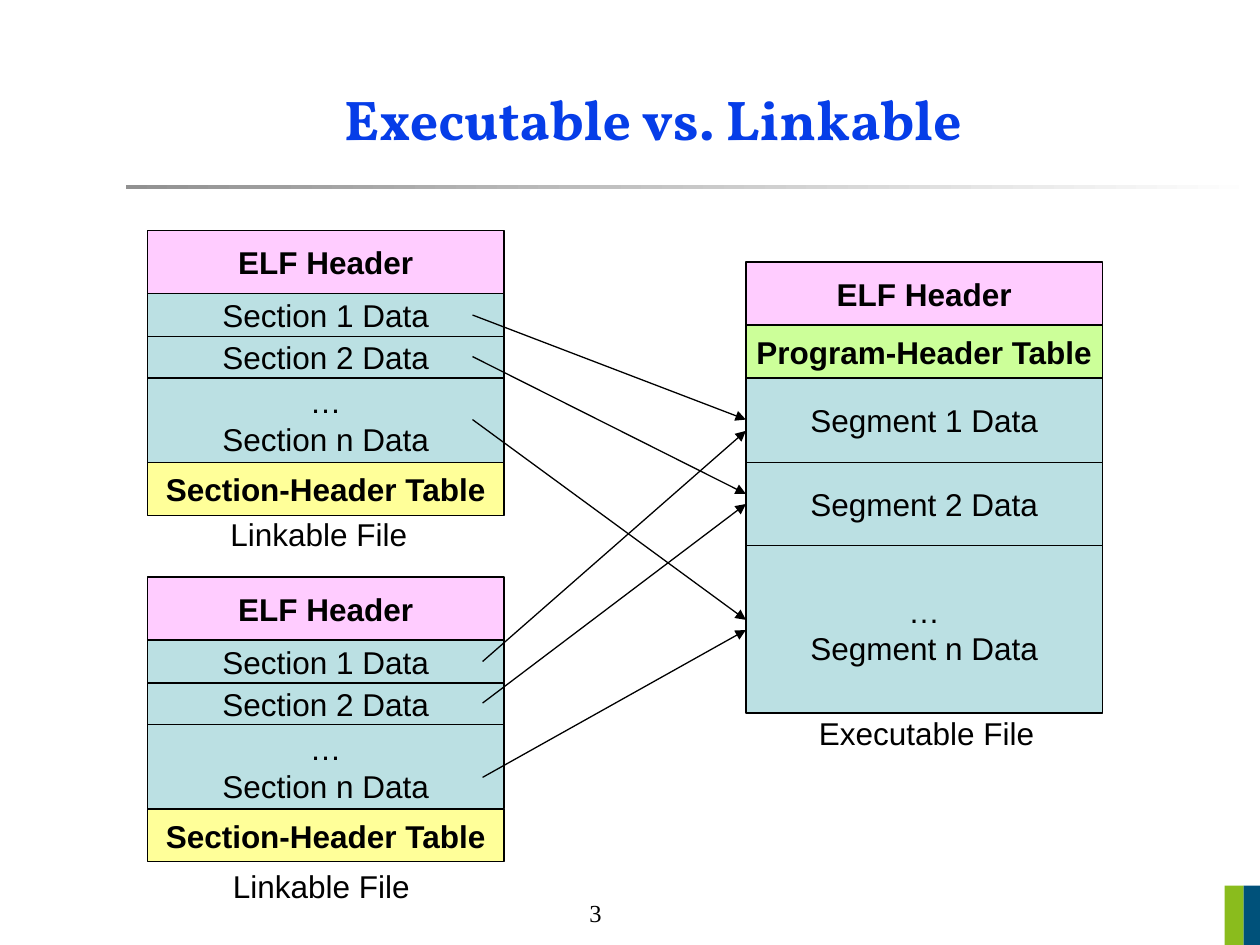
from lxml.etree import SubElement
from pptx import Presentation
from pptx.dml.color import RGBColor
from pptx.enum.shapes import MSO_CONNECTOR, MSO_SHAPE
from pptx.enum.text import MSO_ANCHOR, MSO_AUTO_SIZE, PP_ALIGN
from pptx.oxml.ns import qn
from pptx.util import Inches, Pt


def rgb(color):
    return RGBColor.from_string(color)


def add_rect(s, x, y, w, h, fill, line=None):
    sp = s.shapes.add_shape(MSO_SHAPE.RECTANGLE, Inches(x), Inches(y), Inches(w), Inches(h))
    sp.shadow.inherit = False
    sp.fill.solid()
    sp.fill.fore_color.rgb = rgb(fill)
    if line:
        sp.line.color.rgb = rgb(line)
        sp.line.width = Pt(0.75)
    else:
        sp.line.fill.background()
    return sp


BLACK, PINK, BLUE, YELLOW, GREEN = "000000", "FFCCFF", "BBE0E3", "FFFF99", "CCFF99"
BOX_W = 2.83
LINK_X, EXEC_X = 1.17, 5.92

prs = Presentation()
prs.slide_width = Inches(10)
prs.slide_height = Inches(7.5)
s = prs.slides.add_slide(prs.slide_layouts[5])

rule = add_rect(s, 1, 1.47, 9, 0.03, "919191")
rule.fill.gradient()
rule.fill.gradient_angle = 0
for stop, color in zip(rule.fill.gradient_stops, ["919191", "FFFFFF"]):
    stop.color.rgb = rgb(color)
add_rect(s, 9.72, 7.03, 0.15, 0.47, "8ABC1D")
add_rect(s, 9.87, 7.03, 0.13, 0.47, "00517A")

title = s.shapes.title
title.left, title.top = Inches(1.06), Inches(0.44)
title.width, title.height = Inches(8.25), Inches(1)
title.text_frame.text = "Executable vs. Linkable"
title.text_frame.vertical_anchor = MSO_ANCHOR.MIDDLE
p = title.text_frame.paragraphs[0]
p.alignment = PP_ALIGN.CENTER
p.font.name, p.font.size, p.font.bold = "Vollkorn", Pt(32), True
p.font.color.rgb = rgb("063DE8")

linkable = [
    ("ELF Header", 0.5, PINK),
    ("Section 1 Data", 0.34, BLUE),
    ("Section 2 Data", 0.33, BLUE),
    ("…\nSection n Data", 0.67, BLUE),
    ("Section-Header Table", 0.42, YELLOW),
]
executable = [
    ("ELF Header", 0.5, PINK),
    ("Program-Header Table", 0.42, GREEN),
    ("Segment 1 Data", 0.67, BLUE),
    ("Segment 2 Data", 0.66, BLUE),
    ("…\nSegment n Data", 1.33, BLUE),
]
for x, y, parts in [(LINK_X, 1.83, linkable), (LINK_X, 4.58, linkable), (EXEC_X, 2.08, executable)]:
    for text, h, fill in parts:
        sp = add_rect(s, x, y, BOX_W, h, fill, BLACK)
        tf = sp.text_frame
        tf.word_wrap = False
        tf.vertical_anchor = MSO_ANCHOR.MIDDLE
        tf.text = text
        for p in tf.paragraphs:
            p.alignment = PP_ALIGN.CENTER
            p.font.name, p.font.size, p.font.bold = "Arial", Pt(18), fill != BLUE
            p.font.color.rgb = rgb(BLACK)
        y += h

arrows = [
    (3.75, 2.5, 3.33),
    (3.75, 2.83, 3.92),
    (3.75, 3.33, 4.92),
    (3.83, 5.25, 3.42),
    (3.83, 5.58, 4),
    (3.83, 6.17, 5),
]
for x, y, end_y in arrows:
    arrow = s.shapes.add_connector(
        MSO_CONNECTOR.STRAIGHT, Inches(x), Inches(y), Inches(EXEC_X), Inches(end_y))
    arrow.line.color.rgb = rgb(BLACK)
    arrow.line.width = Pt(0.75)
    sp_pr = arrow.element.spPr
    SubElement(sp_pr.find(qn("a:ln")), qn("a:tailEnd"), type="triangle")
    SubElement(sp_pr, qn("a:effectLst"))

labels = [
    ("Linkable File", 1.73, 4.04, 1.62, 0.4, "Arial", 18),
    ("Linkable File", 1.75, 6.83, 1.62, 0.4, "Arial", 18),
    ("Executable File", 6.4, 5.62, 1.92, 0.4, "Arial", 18),
    ("3", 4.58, 7.08, 0.43, 0.33, "Times New Roman", 14),
]
for text, x, y, w, h, font, size in labels:
    tb = s.shapes.add_textbox(Inches(x), Inches(y), Inches(w), Inches(h))
    tf = tb.text_frame
    tf.word_wrap = False
    tf.auto_size = MSO_AUTO_SIZE.SHAPE_TO_FIT_TEXT
    tf.text = text
    p = tf.paragraphs[0]
    p.font.name, p.font.size = font, Pt(size)
    p.font.color.rgb = rgb(BLACK)

prs.save("out.pptx")
